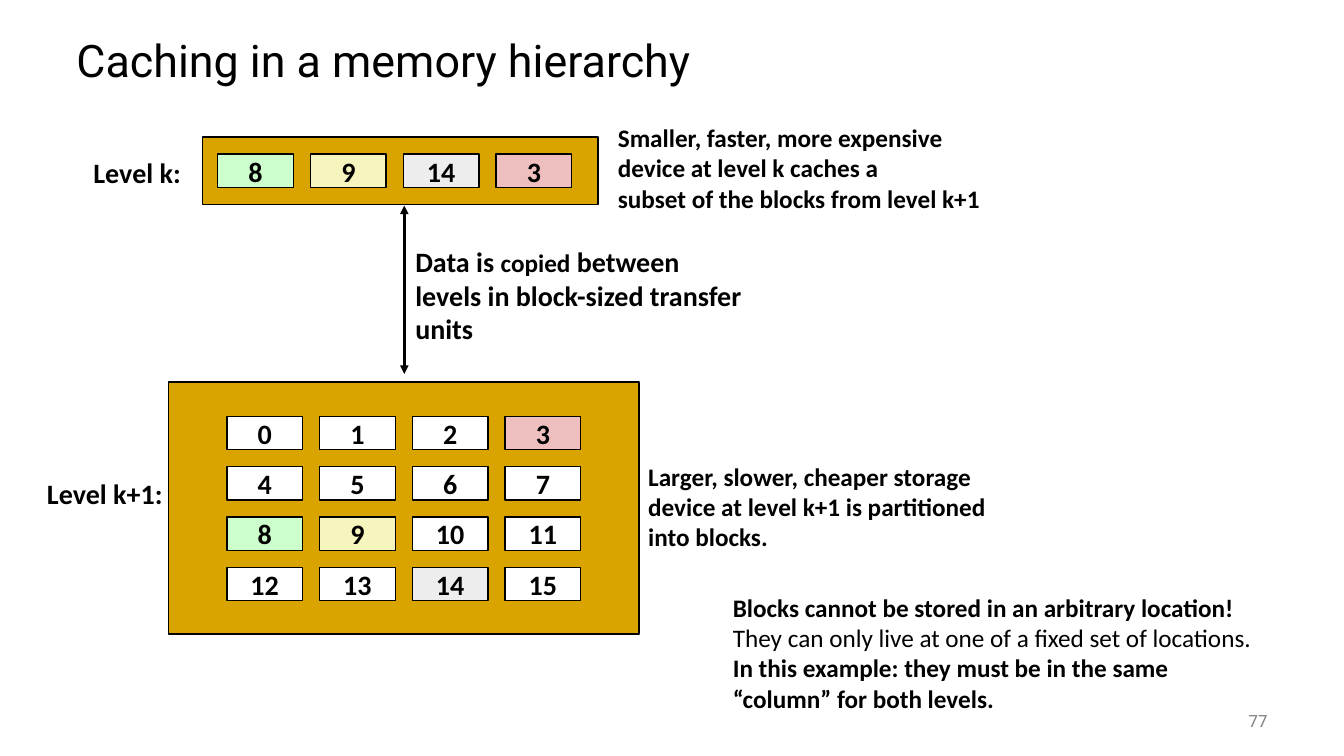
from lxml import etree
from pptx import Presentation
from pptx.dml.color import RGBColor
from pptx.enum.shapes import MSO_CONNECTOR, MSO_SHAPE
from pptx.enum.text import MSO_ANCHOR, PP_ALIGN
from pptx.oxml.ns import qn
from pptx.util import Inches, Pt

LEFT, CENTER, RIGHT = PP_ALIGN.LEFT, PP_ALIGN.CENTER, PP_ALIGN.RIGHT
MIDDLE = MSO_ANCHOR.MIDDLE
RECT = MSO_SHAPE.RECTANGLE
STRAIGHT = MSO_CONNECTOR.STRAIGHT

COLORS = {"black": "000000", "white": "FFFFFF", "gold": "D9A300", "green": "CCFFCC",
          "yellow": "F6F5BD", "gray": "EDEDED", "pink": "EFBFBF", "number": "808080"}
CACHED = {8: "green", 9: "yellow", 14: "gray", 3: "pink"}

COLUMNS = 4
BLOCK_W, BLOCK_H = 0.75, 0.33
STEP_X, STEP_Y = 0.92, 0.5


def color(name):
    return RGBColor.from_string(COLORS[name])


def write(s, paragraphs, size=18, bold=True, font="Calibri", fill="black",
          align=LEFT, wrap=True, spacing=None):
    """Fill a shape with paragraphs: strings, or lists of (text, format overrides)."""
    tf = s.text_frame
    tf.word_wrap = wrap
    tf.vertical_anchor = MIDDLE
    for i, runs in enumerate(paragraphs):
        p = tf.add_paragraph() if i else tf.paragraphs[0]
        p.alignment = align
        if spacing:
            p.line_spacing = spacing
        for text, changes in [(runs, {})] if isinstance(runs, str) else runs:
            r = p.add_run()
            r.text = text
            r.font.name = font
            r.font.size = Pt(changes.get("size", size))
            r.font.bold = changes.get("bold", bold)
            r.font.color.rgb = color(fill)


def add_text(slide, box, paragraphs, **style):
    s = slide.shapes.add_textbox(*map(Inches, box))
    write(s, paragraphs, **style)


def add_box(slide, box, fill):
    s = slide.shapes.add_shape(RECT, *map(Inches, box))
    s.shadow.inherit = False
    s.fill.solid()
    s.fill.fore_color.rgb = color(fill)
    s.line.color.rgb = color("black")
    s.line.width = Pt(1)
    return s


def add_level(slide, box, inset, blocks):
    """Draw a memory device with its blocks in rows of COLUMNS."""
    add_box(slide, box, "gold")
    for i, number in enumerate(blocks):
        row, col = divmod(i, COLUMNS)
        x = box[0] + inset[0] + col * STEP_X
        y = box[1] + inset[1] + row * STEP_Y
        s = add_box(slide, (x, y, BLOCK_W, BLOCK_H), CACHED.get(number, "white"))
        write(s, [str(number)], size=20, align=CENTER, wrap=False)


def add_transfer(slide, x, top, bottom):
    """Draw the two-headed arrow between the levels, with its caption."""
    s = slide.shapes.add_connector(STRAIGHT, *map(Inches, (x, top, x, bottom)))
    s.line.color.rgb = color("black")
    s.line.width = Pt(2)
    line = s.line._get_or_add_ln()
    for end in ("a:headEnd", "a:tailEnd"):
        etree.SubElement(line, qn(end), type="triangle")
    etree.SubElement(s._element.spPr, qn("a:effectLst"))
    add_text(slide, (x + 0.01, top + 0.33, 3.65, 1.11),
             [[("Data is ", {}), ("copied", {"size": 18}), (" between", {})],
              "levels in block-sized transfer units"], size=20)


def build_slide(prs):
    slide = prs.slides.add_slide(prs.slide_layouts[6])
    add_text(slide, (0.66, 0.25, 12, 0.75), ["Caching in a memory hierarchy"],
             size=32, bold=False, font="Roboto", spacing=0.9)

    add_level(slide, (1.67, 3.79, 4.67, 2.5), (0.58, 0.34), range(16))
    add_text(slide, (0.36, 4.67, 1.36, 0.44), ["Level k+1:"],
             size=20, align=CENTER, wrap=False)
    add_text(slide, (6.33, 4.52, 3.59, 1.01),
             ["Larger, slower, cheaper storage",
              "device at level k+1 is partitioned",
              "into blocks."], wrap=False)

    add_transfer(slide, 4.01, 2.04, 3.71)

    add_level(slide, (2.01, 1.36, 3.92, 0.67), (0.15, 0.17), CACHED)
    add_text(slide, (0.82, 1.49, 1.08, 0.44), ["Level k:"],
             size=20, align=CENTER, wrap=False)
    add_text(slide, (6.03, 1.16, 3.84, 1.01),
             ["Smaller, faster, more expensive",
              "device at level k caches a",
              "subset of the blocks from level k+1"], wrap=False)

    add_text(slide, (7.17, 5.82, 5.39, 1.31),
             ["Blocks cannot be stored in an arbitrary location!",
              [("They can only live at one of a fixed set of locations.", {"bold": False})],
              "In this example: they must be in the same “column” for both levels."])
    add_text(slide, (11.67, 6.95, 1, 0.4), ["77"], size=12, bold=False,
             font="Roboto", fill="number", align=RIGHT)


def main():
    prs = Presentation()
    prs.slide_width, prs.slide_height = Inches(13.33), Inches(7.5)
    build_slide(prs)
    prs.save("out.pptx")


if __name__ == "__main__":
    main()
